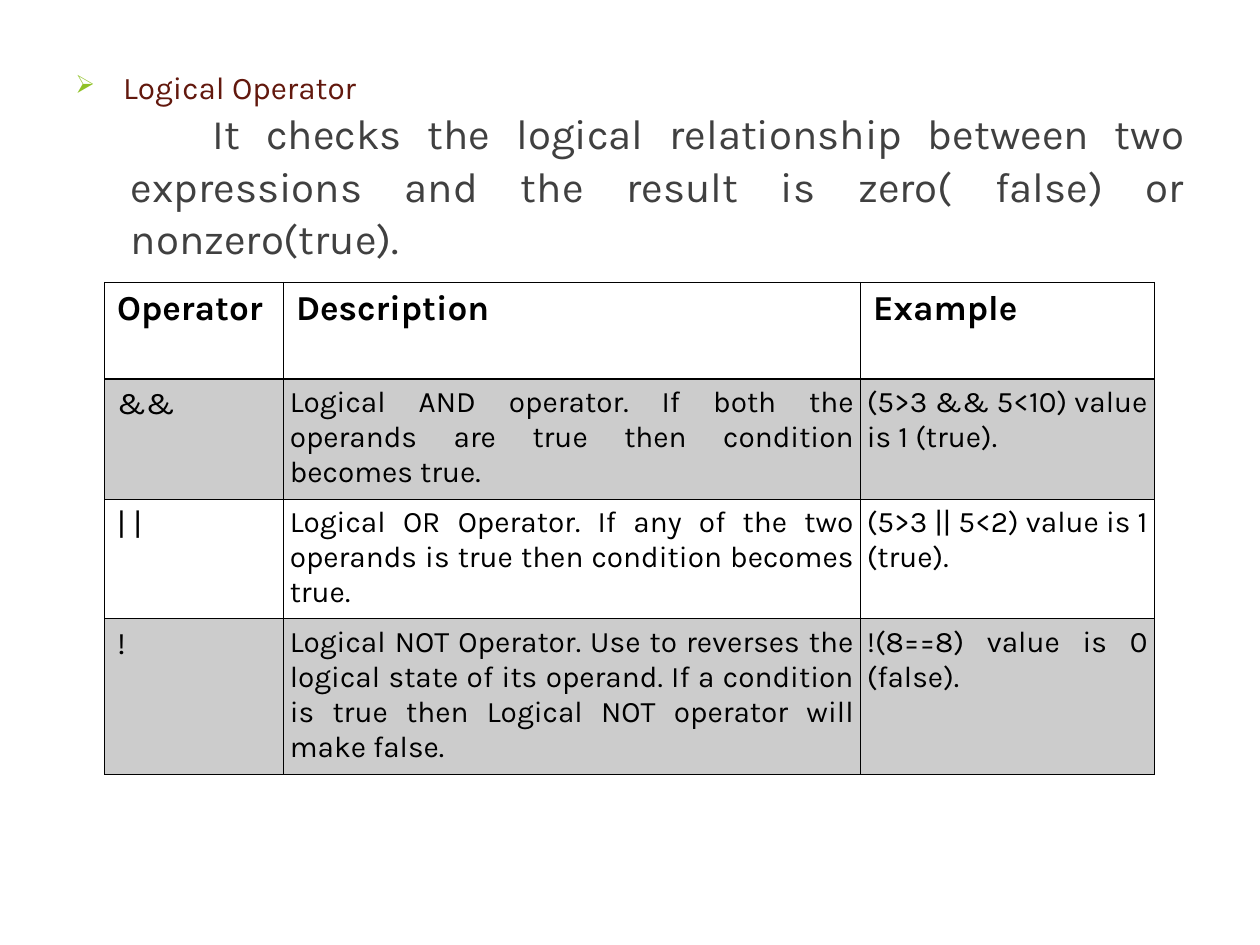
import lxml.etree
import pptx
import pptx.dml.color
import pptx.enum.text
import pptx.oxml.ns
import pptx.util

Inches = pptx.util.Inches
Pt = pptx.util.Pt


def color(value):
    return pptx.dml.color.RGBColor.from_string(value)


def add_element(parent, tag, **attributes):
    name = pptx.oxml.ns.qn(tag)
    return lxml.etree.SubElement(parent, name, attributes)


class SlideBuilder:
    font = "Karla"
    black = "000000"
    band = "CCCCCC"
    thin = 0.45
    thick = 0.96

    def __init__(self, deck):
        self.page = deck.slides.add_slide(deck.slide_layouts[6])

    def add_text(self, para, text, size, ink, bold=False):
        para.alignment = pptx.enum.text.PP_ALIGN.JUSTIFY
        span = para.add_run()
        span.text = text
        span.font.name = self.font
        span.font.size = Pt(size)
        span.font.bold = bold
        span.font.color.rgb = color(ink)

    def text_box(self, left, top, width, height):
        box = self.page.shapes.add_textbox(
            Inches(left), Inches(top), Inches(width), Inches(height))
        box.text_frame.word_wrap = True
        return box.text_frame

    def indent(self, para, left, first):
        properties = para._p.get_or_add_pPr()
        properties.set("marL", str(Inches(left)))
        properties.set("indent", str(Inches(first)))
        para.line_spacing = 1.04
        return properties

    def bullet(self, properties, symbol, ink, percent):
        tint = add_element(properties, "a:buClr")
        add_element(tint, "a:srgbClr", val=ink)
        add_element(properties, "a:buSzPct", val=str(percent * 1000))
        add_element(properties, "a:buChar", char=symbol)

    def borders(self, cell, top, bottom):
        properties = cell._tc.get_or_add_tcPr()
        widths = {"L": self.thin, "R": self.thin, "T": top, "B": bottom}
        for side, width in widths.items():
            line = add_element(properties, f"a:ln{side}", w=str(Pt(width)))
            fill = add_element(line, "a:solidFill")
            add_element(fill, "a:srgbClr", val=self.black)

    def cell(self, cell, text, size, margin, bold, shaded, top, bottom):
        self.borders(cell, top, bottom)
        if shaded:
            cell.fill.solid()
            cell.fill.fore_color.rgb = color(self.band)
        else:
            cell.fill.background()
        cell.margin_left = cell.margin_right = Inches(margin)
        para = cell.text_frame.paragraphs[0]
        self.add_text(para, text, size, self.black, bold)

    def table(self, left, top, widths, heights, rows):
        frame = self.page.shapes.add_table(
            len(rows), len(widths), Inches(left), Inches(top),
            Inches(sum(widths)), Inches(sum(heights)))
        grid = frame.table
        grid.first_row = grid.horz_banding = False
        for column, width in zip(grid.columns, widths):
            column.width = Inches(width)
        for row, height in zip(grid.rows, heights):
            row.height = Inches(height)
        for i, row in enumerate(rows):
            header = i == 0
            for j, text in enumerate(row):
                size = 20 if header else 18 if j == 0 else 17
                margin = 0.1 if header or j == 0 else 0.05
                self.cell(grid.cell(i, j), text, size, margin, header,
                          i % 2 == 1,
                          self.thick if i == 1 else self.thin,
                          self.thick if header else self.thin)


def main():
    deck = pptx.Presentation()
    deck.slide_width = Inches(10)
    deck.slide_height = Inches(7.5)
    builder = SlideBuilder(deck)

    body = builder.text_box(0.5, 0.48, 9, 6.69)
    heading = body.paragraphs[0]
    builder.add_text(heading, "Logical Operator", 18, "62180D")
    builder.bullet(builder.indent(heading, 0.38, -0.38), "➢", "90C226", 80)

    summary = body.add_paragraph()
    builder.add_text(
        summary,
        "It checks the logical relationship between two expressions "
        "and the result is zero( false) or nonzero(true).",
        24, "404040")
    builder.indent(summary, 0.44, 0.65)

    builder.table(0.83, 2.24, [1.42, 4.58, 2.33], [0.77, 0.95, 0.95, 1.23], [
        ("Operator", "Description", "Example"),
        ("&&",
         "Logical AND operator. If both the operands are true "
         "then condition becomes true.",
         "(5>3 && 5<10) value is 1 (true)."),
        ("| |",
         "Logical OR Operator. If any of the two operands is true "
         "then condition becomes true.",
         "(5>3 || 5<2) value is 1 (true)."),
        ("!",
         "Logical NOT Operator. Use to reverses the logical state of its "
         "operand. If a condition is true then Logical NOT operator will "
         "make false.",
         "!(8==8) value is 0 (false)."),
    ])
    deck.save("out.pptx")


if __name__ == "__main__":
    main()
